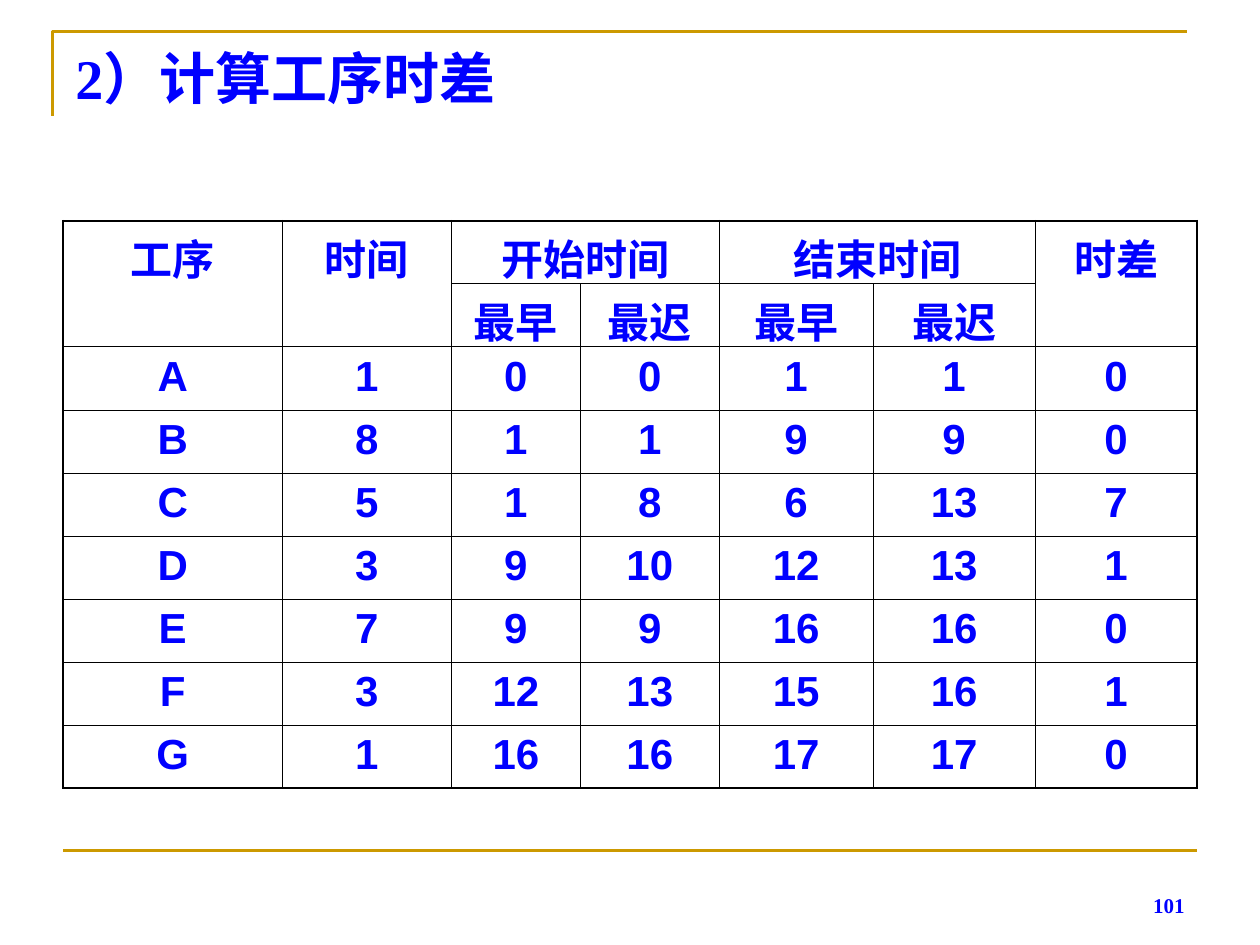
from lxml.etree import SubElement
from pptx import Presentation
from pptx.dml.color import RGBColor
from pptx.enum.shapes import MSO_CONNECTOR
from pptx.enum.text import MSO_ANCHOR, PP_ALIGN
from pptx.oxml.ns import qn
from pptx.util import Cm, Pt

COLORS = {"text": "0000FF", "rule": "CC9900", "border": "000000"}
OUTER, INNER = Pt(1.08), Pt(0.45)


def write(frame, text, font, size, align):
    para = frame.paragraphs[0]
    para.alignment = align
    span = para.add_run()
    span.text = text
    span.font.name = font
    span.font.size = Pt(size)
    span.font.bold = True
    span.font.color.rgb = RGBColor.from_string(COLORS["text"])


def add_border(cell, side, width):
    line = SubElement(cell._tc.get_or_add_tcPr(), qn(f"a:{side}"), w=str(int(width)))
    fill = SubElement(line, qn("a:solidFill"))
    SubElement(fill, qn("a:srgbClr"), val=COLORS["border"])


deck = Presentation()
deck.slide_width, deck.slide_height = Cm(25.4), Cm(19.05)
page = deck.slides.add_slide(deck.slide_layouts[6])

builder = page.shapes.build_freeform(Cm(1.06), Cm(2.33))
builder.add_line_segments([(Cm(1.06), Cm(0.64)), (Cm(23.92), Cm(0.64))], close=False)
corner = builder.convert_to_shape()
corner.fill.background()
corner.shadow.inherit = False

footer_rule = page.shapes.add_connector(
    MSO_CONNECTOR.STRAIGHT, Cm(1.27), Cm(17.15), Cm(24.13), Cm(17.15))
SubElement(footer_rule._element.spPr, qn("a:effectLst"))

for rule in (corner, footer_rule):
    rule.line.color.rgb = RGBColor.from_string(COLORS["rule"])
    rule.line.width = Pt(1.5)

text_boxes = [
    ("2）计算工序时差", 1.27, 0.76, 22.86, 3.18, 32, PP_ALIGN.LEFT, MSO_ANCHOR.TOP),
    ("101", 18.2, 17.36, 5.93, 1.27, 12, PP_ALIGN.RIGHT, MSO_ANCHOR.BOTTOM),
]
for text, left, top, width, height, size, align, anchor in text_boxes:
    box = page.shapes.add_textbox(Cm(left), Cm(top), Cm(width), Cm(height))
    box.text_frame.word_wrap = True
    box.text_frame.vertical_anchor = anchor
    write(box.text_frame, text, "Times New Roman", size, align)

rows = [
    ["工序", "时间", "开始时间", "", "结束时间", "", "时差"],
    ["", "", "最早", "最迟", "最早", "最迟", ""],
    ["A", "1", "0", "0", "1", "1", "0"],
    ["B", "8", "1", "1", "9", "9", "0"],
    ["C", "5", "1", "8", "6", "13", "7"],
    ["D", "3", "9", "10", "12", "13", "1"],
    ["E", "7", "9", "9", "16", "16", "0"],
    ["F", "3", "12", "13", "15", "16", "1"],
    ["G", "1", "16", "16", "17", "17", "0"],
]
column_widths = [4.42, 3.41, 2.6, 2.8, 3.1, 3.27, 3.26]
last_row, last_column = len(rows) - 1, len(column_widths) - 1

table = page.shapes.add_table(
    len(rows), len(column_widths), Cm(1.27), Cm(4.45), Cm(22.86), Cm(11.43)).table
table.first_row = False
table.horz_banding = False
for column, width in zip(table.columns, column_widths):
    column.width = Cm(width)
for row in table.rows:
    row.height = Cm(1.27)

for column in (0, 1, last_column):
    table.cell(0, column).merge(table.cell(1, column))
for column in (2, 4):
    table.cell(0, column).merge(table.cell(0, column + 1))

for row, values in enumerate(rows):
    for column, value in enumerate(values):
        cell = table.cell(row, column)
        add_border(cell, "lnL", OUTER if column == 0 else INNER)
        add_border(cell, "lnR", OUTER if column == last_column else INNER)
        add_border(cell, "lnT", OUTER if row == 0 else INNER)
        add_border(cell, "lnB", OUTER if row == last_row else INNER)
        cell.fill.background()
        if value:
            write(cell.text_frame, value, "Arial", 24, PP_ALIGN.CENTER)

deck.save("out.pptx")
